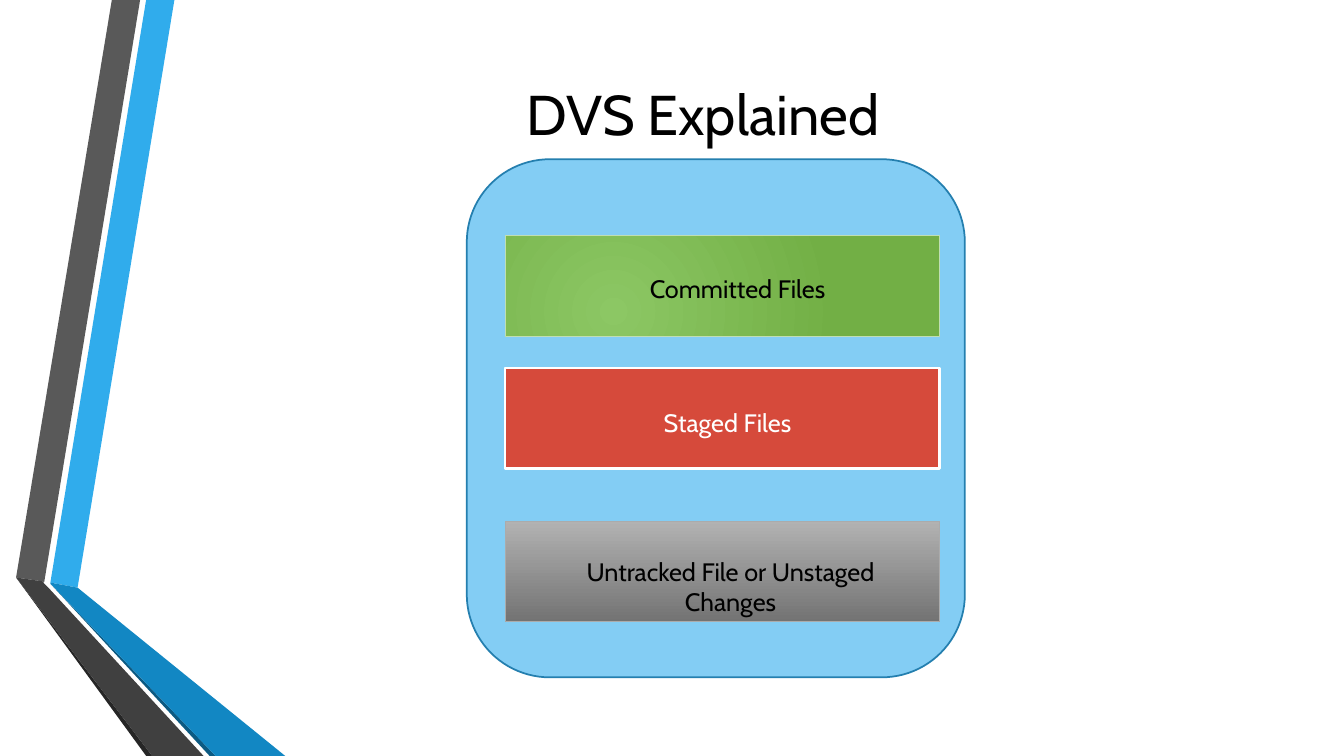
import pptx
import pptx.dml.color
import pptx.enum.shapes
import pptx.enum.text
import pptx.oxml.ns
import pptx.util
from lxml import etree

Inches = pptx.util.Inches
Preset = pptx.enum.shapes.MSO_SHAPE
Anchor = pptx.enum.text.MSO_ANCHOR

COLORS = {
    "black": "000000", "white": "FFFFFF",
    "ribbon_blue": "30ACEC", "fold_blue": "1287C3", "edge_blue": "0C5A82",
    "ribbon_gray": "595959", "fold_gray": "404040", "edge_gray": "262626",
    "panel": "83CDF4", "panel_line": "247FAF",
    "staged": "D64A3B",
    "committed_light": "8CC764", "committed_dark": "72AF45", "committed_line": "C0DEB3",
    "untracked_light": "B2B2B2", "untracked_dark": "737373", "untracked_line": "ABABAB",
}

RIBBONS = [
    ("ribbon_blue", [(0.5, 5.78), (0.77, 5.83), (1.73, 0), (1.45, 0)]),
    ("ribbon_gray", [(1.39, 0), (1.11, 0), (0.16, 5.73), (0.44, 5.77)]),
    ("edge_gray", [(0.16, 5.73), (1.45, 7.5), (1.51, 7.5)]),
    ("edge_blue", [(0.5, 5.79), (2.08, 7.5), (2.14, 7.5)]),
    ("fold_blue", [(0.5, 5.79), (2.14, 7.5), (2.83, 7.5), (0.77, 5.83), (0.5, 5.78)]),
    ("fold_gray", [(2.02, 7.5), (0.48, 5.83), (0.43, 5.78), (0.44, 5.77),
                   (0.16, 5.73), (1.51, 7.5)]),
]


def rgb(name):
    return pptx.dml.color.RGBColor.from_string(COLORS[name])


def paint(shape, fill, line=None, weight=0):
    shape.shadow.inherit = False
    if isinstance(fill, tuple):
        shape.fill.gradient()
        for stop, name in zip(shape.fill.gradient_stops, fill):
            stop.color.rgb = rgb(name)
        shape.fill.gradient_angle = 270
    else:
        shape.fill.solid()
        shape.fill.fore_color.rgb = rgb(fill)
    if line:
        shape.line.color.rgb = rgb(line)
        shape.line.width = pptx.util.Pt(weight)
    else:
        shape.line.fill.background()


def add_ribbon(page, color, points):
    corners = [(Inches(x), Inches(y)) for x, y in points]
    builder = page.shapes.build_freeform(*corners[0])
    builder.add_line_segments(corners[1:], close=True)
    paint(builder.convert_to_shape(), color)


def add_block(page, preset, left, top, width, height, **style):
    block = page.shapes.add_shape(
        preset, Inches(left), Inches(top), Inches(width), Inches(height))
    paint(block, **style)
    return block


def make_radial(shape, **focus):
    qn = pptx.oxml.ns.qn
    gradient = shape.element.spPr.find(qn("a:gradFill"))
    linear = gradient.find(qn("a:lin"))
    radial = etree.Element(qn("a:path"), path="circle")
    target = etree.SubElement(radial, qn("a:fillToRect"))
    for side, percent in focus.items():
        target.set(side, str(percent * 1000))
    gradient.replace(linear, radial)


def add_text(page, text, left, top, width=3.99, height=0.4, size=18,
             color="black", anchor=Anchor.TOP):
    box = page.shapes.add_textbox(
        Inches(left), Inches(top), Inches(width), Inches(height))
    frame = box.text_frame
    frame.word_wrap = True
    frame.vertical_anchor = anchor
    para = frame.paragraphs[0]
    para.alignment = pptx.enum.text.PP_ALIGN.CENTER
    span = para.add_run()
    span.text = text
    span.font.name = "Cabin"
    span.font.size = pptx.util.Pt(size)
    span.font.color.rgb = rgb(color)


def add_stage(page, top, **style):
    return add_block(page, Preset.RECTANGLE, 5.01, top, 4.31, 1, **style)


def main():
    deck = pptx.Presentation()
    deck.slide_width, deck.slide_height = Inches(13.33), Inches(7.5)
    page = deck.slides.add_slide(deck.slide_layouts[6])

    for color, points in RIBBONS:
        add_ribbon(page, color, points)

    add_text(page, "DVS Explained", 1.49, 0.16, width=10.96, height=1.92,
             size=40, anchor=Anchor.MIDDLE)
    add_block(page, Preset.ROUNDED_RECTANGLE, 4.63, 1.58, 4.94, 5.14,
              fill="panel", line="panel_line", weight=1.25)

    add_stage(page, 5.17, fill=("untracked_light", "untracked_dark"),
              line="untracked_line", weight=0.75)
    add_stage(page, 3.65, fill="staged", line="white", weight=1.75)
    committed = add_stage(page, 2.34, fill=("committed_light", "committed_dark"),
                          line="committed_line", weight=0.75)
    make_radial(committed, l=50, t=100, r=100, b=50)

    add_text(page, "Untracked File or Unstaged Changes", 5.25, 5.47)
    add_text(page, "Staged Files", 5.22, 3.99, color="white")
    add_text(page, "Committed Files", 5.32, 2.66)

    deck.save("out.pptx")


main()
